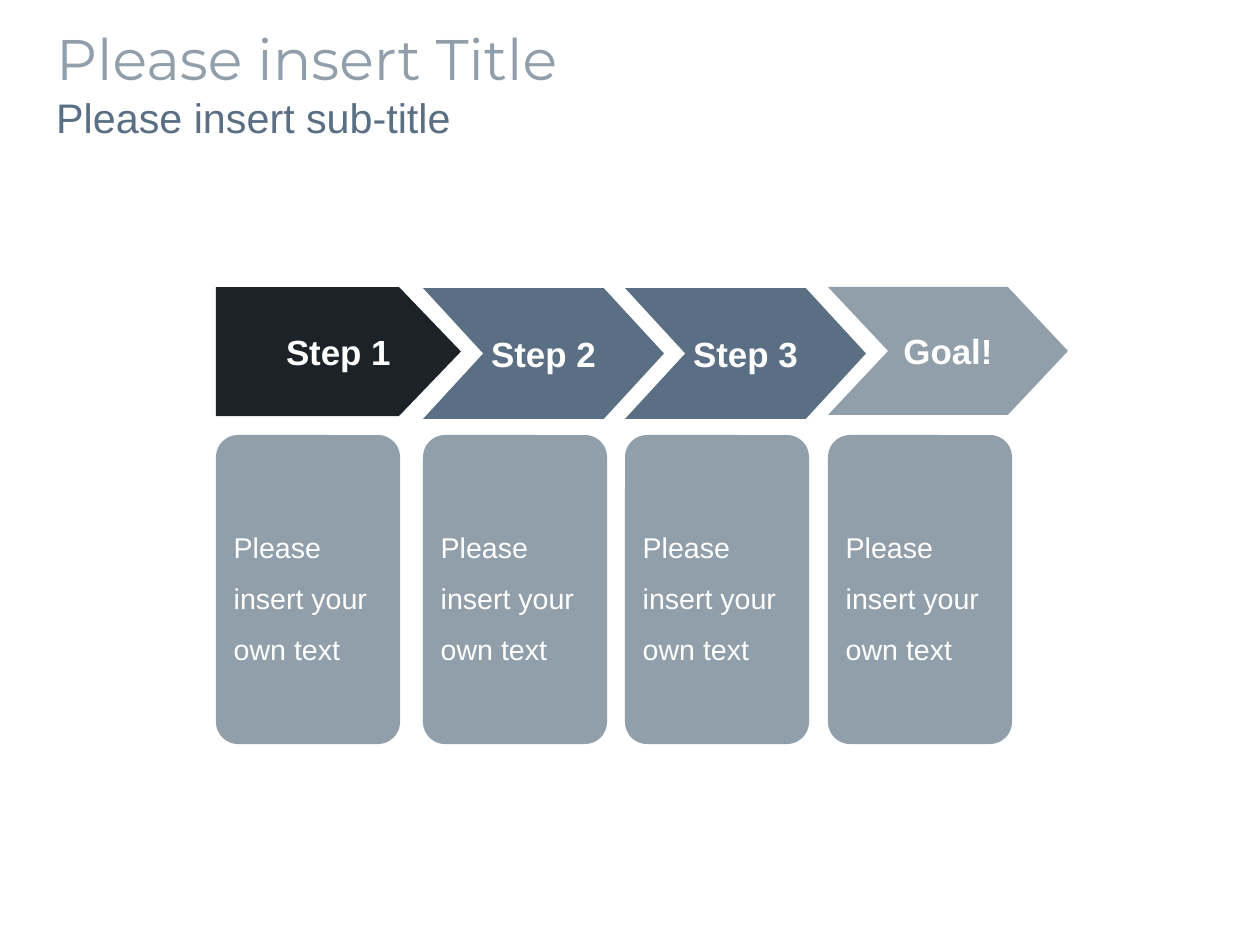
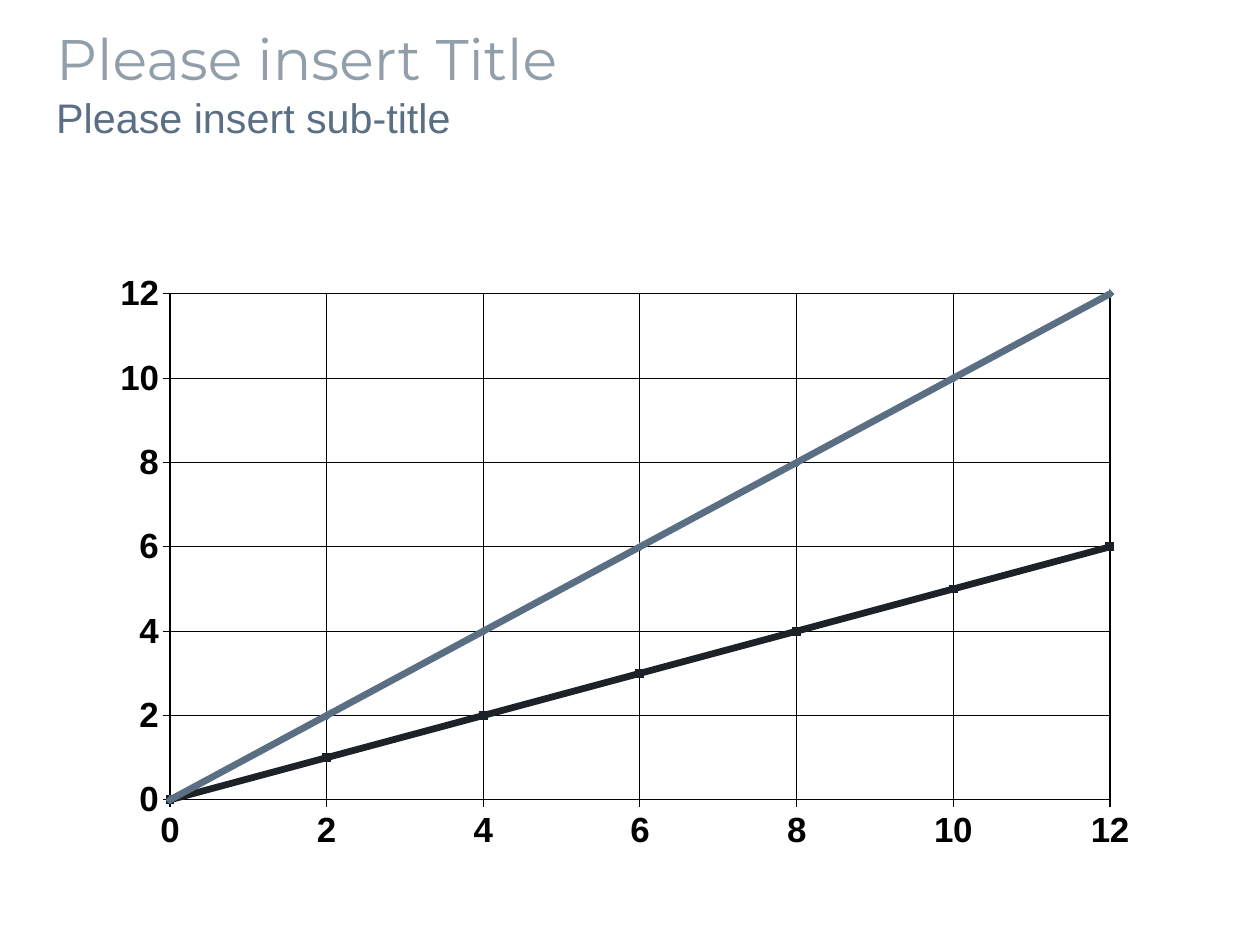
import pptx
import pptx.chart.data
import pptx.dml.color
import pptx.enum.chart
import pptx.enum.shapes
import pptx.enum.text
import pptx.oxml
import pptx.util

PX = 8000
INK = pptx.dml.color.RGBColor(0x1C, 0x22, 0x28)
SLATE = pptx.dml.color.RGBColor(0x5A, 0x6E, 0x84)
MIST = pptx.dml.color.RGBColor(0x91, 0x9F, 0xAA)
WHITE = pptx.dml.color.RGBColor(0xFF, 0xFF, 0xFF)
BLACK = pptx.dml.color.RGBColor(0, 0, 0)
SHAPE = pptx.enum.shapes.MSO_SHAPE
ALIGN = pptx.enum.text.PP_ALIGN

deck = pptx.Presentation()
deck.slide_width = 1260 * PX
deck.slide_height = 945 * PX


def add_titled_page():
    page = deck.slides.add_slide(deck.slide_layouts[6])
    box = page.shapes.add_textbox(45 * PX, 18 * PX, 1138 * PX, 138 * PX)
    frame = box.text_frame
    frame.word_wrap = True
    frame.text = "Please insert Title\nPlease insert sub-title"
    styles = [("Montserrat", 36, MIST), ("Arial", 26, SLATE)]
    for para, (name, size, color) in zip(frame.paragraphs, styles):
        font = para.runs[0].font
        font.name = name
        font.size = pptx.util.Pt(size)
        font.color.rgb = color
    return page


def add_filled_shape(page, kind, bounds, adjustment, fill, text, size, bold):
    shape = page.shapes.add_shape(kind, *[length * PX for length in bounds])
    shape.adjustments[0] = adjustment
    shape.shadow.inherit = False
    shape.fill.solid()
    shape.fill.fore_color.rgb = fill
    shape.line.fill.background()
    frame = shape.text_frame
    frame.vertical_anchor = pptx.enum.text.MSO_ANCHOR.MIDDLE
    frame.text = text
    font = frame.paragraphs[0].runs[0].font
    font.name = "Arial"
    font.size = pptx.util.Pt(size)
    font.bold = bold
    font.color.rgb = WHITE
    return shape


process_page = add_titled_page()
steps = [
    ("Step 1", SHAPE.PENTAGON, INK, (216, 287, 245, 129), 0.48),
    ("Step 2", SHAPE.CHEVRON, SLATE, (423, 288, 241, 131), 0.46),
    ("Step 3", SHAPE.CHEVRON, SLATE, (625, 288, 241, 131), 0.46),
    ("Goal!", SHAPE.CHEVRON, MIST, (828, 287, 240, 128), 0.47),
]
for label, kind, fill, bounds, point in steps:
    arrow = add_filled_shape(process_page, kind, bounds, point, fill, label, 22, True)
    arrow.text_frame.word_wrap = False
    arrow.text_frame.paragraphs[0].alignment = ALIGN.CENTER
    if kind == SHAPE.PENTAGON:
        arrow.text_frame.margin_left = 42 * PX

    card = add_filled_shape(
        process_page, SHAPE.ROUNDED_RECTANGLE, (bounds[0], 435, 184, 309), 0.12,
        MIST, "Please insert your own text", 18, False)
    card.text_frame.word_wrap = True
    card.text_frame.paragraphs[0].alignment = ALIGN.LEFT
    card.text_frame.paragraphs[0].line_spacing = 1.5

chart_page = add_titled_page()
chart_data = pptx.chart.data.XyChartData()
for name, slope in [("Series 1", 1), ("Series 2", 0.5)]:
    points = chart_data.add_series(name)
    for x in range(14, -1, -2):
        points.add_data_point(x, x * slope)

left, top, width, height = 99, 251, 1061, 624
chart = chart_page.shapes.add_chart(
    pptx.enum.chart.XL_CHART_TYPE.XY_SCATTER_LINES,
    left * PX, top * PX, width * PX, height * PX, chart_data).chart
chart.has_title = False
chart.has_legend = False
chart.font.name = "Arial"
chart.font.size = pptx.util.Pt(10)
chart.font.color.rgb = BLACK
chart.plots[0].vary_by_categories = False

for axis in (chart.category_axis, chart.value_axis):
    axis.minimum_scale = 0
    axis.maximum_scale = 12
    axis.major_unit = 2
    axis.has_title = False
    axis.has_major_gridlines = True
    axis.major_tick_mark = pptx.enum.chart.XL_TICK_MARK.OUTSIDE
    axis.minor_tick_mark = pptx.enum.chart.XL_TICK_MARK.NONE
    axis.tick_label_position = pptx.enum.chart.XL_TICK_LABEL_POSITION.LOW
    axis.tick_labels.number_format = "General"
    axis.tick_labels.number_format_is_linked = False
    font = axis.tick_labels.font
    font.name = "Arial"
    font.size = pptx.util.Pt(22)
    font.bold = True
    font.color.rgb = BLACK
    for line in (axis.format.line, axis.major_gridlines.format.line):
        line.color.rgb = BLACK
        line.width = 0

MARKER = pptx.enum.chart.XL_MARKER_STYLE
for series, color, marker in zip(
        chart.plots[0].series, (SLATE, INK), (MARKER.DIAMOND, MARKER.SQUARE)):
    series.smooth = False
    series.format.line.color.rgb = color
    series.format.line.width = pptx.util.Pt(4.25)
    series.marker.style = marker
    series.marker.size = 5
    series.marker.format.fill.solid()
    series.marker.format.fill.fore_color.rgb = color
    series.marker.format.line.color.rgb = color

plot_area = chart._chartSpace.chart.plotArea
for layout in plot_area.xpath("c:layout"):
    plot_area.remove(layout)
fractions = {
    "x": (170 - left) / width,
    "y": (294 - top) / height,
    "w": 940 / width,
    "h": 506 / height,
}
places = "".join(f'<c:{key}Mode val="edge"/>' for key in "xy")
places += "".join(f'<c:{key} val="{value:.4f}"/>' for key, value in fractions.items())
plot_area.insert(0, pptx.oxml.parse_xml(
    '<c:layout xmlns:c="http://schemas.openxmlformats.org/drawingml/2006/chart">'
    f'<c:manualLayout><c:layoutTarget val="inner"/>{places}</c:manualLayout></c:layout>'))

deck.save("out.pptx")
